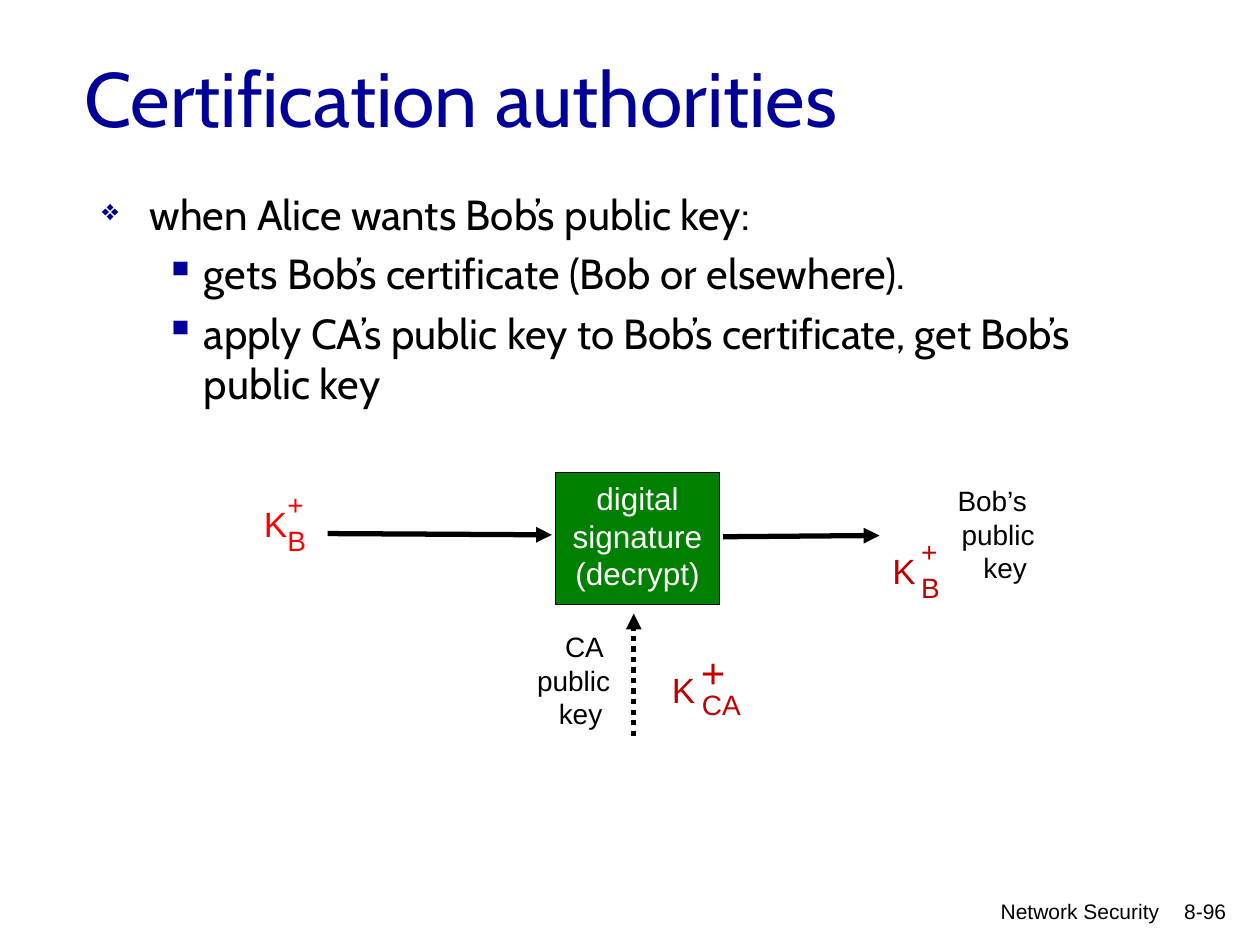
from lxml import etree
from pptx import Presentation, util as u
from pptx.dml.color import RGBColor
from pptx.enum import dml, shapes, text
from pptx.oxml.ns import qn

# Content
TITLE = "Certification authorities"
BULLETS = [
    (0, "when Alice wants Bob’s public key:"),
    (1, "gets Bob’s certificate (Bob or elsewhere)."),
    (1, "apply CA’s public key to Bob’s certificate, get Bob’s public key"),
]
# Per level: symbol, symbol size in percent, text indent, hanging indent
BULLET_STYLES = [("❖", 70, 0.38, 0.38), ("▪", 100, 0.81, 0.31)]
BOX_LINES = ["digital", "signature", "(decrypt)"]
# Lines, left, top
CAPTIONS = [
    (["Bob’s ", "public", "key "], 7.26, 3.79),
    (["CA ", "public", "key "], 3.89, 4.95),
]
# Subscript, its width, left, top, colour, offsets of subscript and plus, plus size
KEYS = [
    ("B", 0.35, 1.99, 3.94, "red", (0.19, 0.17), (0.19, -0.12), 16),
    ("B", 0.35, 6.98, 4.31, "dark red", (0.23, 0.17), (0.23, -0.12), 16),
    ("CA", 0.51, 5.23, 5.26, "dark red", (0.24, 0.15), (0.23, -0.18), 24),
]
PLUS_SIZES = {16: (0.33, 0.37), 24: (0.4, 0.51)}
# Start, end, dash
ARROWS = [
    ((5.03, 5.84), (5.03, 4.87), dml.MSO_LINE.ROUND_DOT),
    ((2.6, 4.235), (4.38, 4.245), None),
    ((5.74, 4.26), (6.98, 4.25), None),
]
FOOTERS = [("Network Security", 5.08, 4.22), ("8-96", 9.09, 0.74)]
COLOURS = {"navy": "000099", "black": "000000", "white": "FFFFFF",
           "green": "008000", "red": "FF0000", "dark red": "C00000"}
LEFT, CENTER, RIGHT = (text.PP_ALIGN.LEFT, text.PP_ALIGN.CENTER, text.PP_ALIGN.RIGHT)


def colour(name):
    return RGBColor.from_string(COLOURS[name])


def write(shape, lines, size=16, font="Arial", fill="black", align=LEFT,
          wrap=True, anchor=text.MSO_ANCHOR.TOP):
    frame = shape.text_frame
    frame.word_wrap = wrap
    frame.auto_size = text.MSO_AUTO_SIZE.NONE
    frame.vertical_anchor = anchor
    frame.text = "\n".join(lines)
    for paragraph in frame.paragraphs:
        paragraph.alignment = align
        for run in paragraph.runs:
            run.font.size = u.Pt(size)
            run.font.name = font
            run.font.color.rgb = colour(fill)
    return frame


def text_box(slide, lines, left, top, width, height, **style):
    box = slide.shapes.add_textbox(*map(u.Inches, (left, top, width, height)))
    return write(box, lines, **style)


def add_bullet(paragraph, level):
    symbol, percent, indent, hanging = BULLET_STYLES[level]
    paragraph.level = level
    properties = paragraph._p.get_or_add_pPr()
    properties.set("marL", str(u.Inches(indent)))
    properties.set("indent", str(-u.Inches(hanging)))
    bullet_colour = etree.SubElement(properties, qn("a:buClr"))
    etree.SubElement(bullet_colour, qn("a:srgbClr"), val=COLOURS["navy"])
    etree.SubElement(properties, qn("a:buSzPct"), val=str(percent * 1000))
    etree.SubElement(properties, qn("a:buChar"), char=symbol)


def add_key(slide, subscript, width, left, top, fill, low, high, plus_size):
    style = {"fill": fill, "align": CENTER, "wrap": False}
    text_box(slide, ["K "], left, top, 0.47, 0.44, size=20, **style)
    text_box(slide, [subscript], left + low[0], top + low[1], width, 0.37, **style)
    text_box(slide, ["+"], left + high[0], top + high[1],
             *PLUS_SIZES[plus_size], size=plus_size, **style)


def add_arrow(slide, start, end, dash):
    arrow = slide.shapes.add_connector(
        shapes.MSO_CONNECTOR.STRAIGHT, *map(u.Inches, start + end))
    arrow.line.color.rgb = colour("black")
    arrow.line.width = u.Pt(3)
    if dash:
        arrow.line.dash_style = dash
    etree.SubElement(arrow.line._get_or_add_ln(), qn("a:tailEnd"), type="triangle")
    etree.SubElement(arrow._element.spPr, qn("a:effectLst"))


def main():
    presentation = Presentation()
    presentation.slide_width, presentation.slide_height = u.Inches(10), u.Inches(7.5)
    slide = presentation.slides.add_slide(presentation.slide_layouts[5])

    # Title
    title = slide.shapes.title
    title.left, title.top, title.width, title.height = map(
        u.Inches, (0.57, 0.14, 6.89, 1.25))
    write(title, [TITLE], size=44, font="Cabin", fill="navy",
          anchor=text.MSO_ANCHOR.MIDDLE)

    # Bulleted text
    frame = text_box(slide, [line for _, line in BULLETS], 0.71, 1.45, 8.45, 2,
                     size=24, font="Cabin")
    for index, (paragraph, (level, _)) in enumerate(zip(frame.paragraphs, BULLETS)):
        add_bullet(paragraph, level)
        if index:
            paragraph.space_before = u.Pt(5)

    # Decryption box
    box = slide.shapes.add_shape(
        shapes.MSO_SHAPE.RECTANGLE, *map(u.Inches, (4.41, 3.75, 1.3, 1.05)))
    box.shadow.inherit = False
    box.fill.solid()
    box.fill.fore_color.rgb = colour("green")
    box.line.color.rgb = colour("black")
    box.line.width = u.Pt(0.75)
    write(box, BOX_LINES, size=18, fill="white", align=CENTER, wrap=False)

    # Keys, captions and arrows
    for key in KEYS:
        add_key(slide, *key)
    for lines, left, top in CAPTIONS:
        text_box(slide, lines, left, top, 1.05, 0.9, align=RIGHT)
    for arrow in ARROWS:
        add_arrow(slide, *arrow)

    # Footer
    for line, left, width in FOOTERS:
        text_box(slide, [line], left, 7.08, width, 0.33, size=12, align=RIGHT)

    presentation.save("out.pptx")


if __name__ == "__main__":
    main()
